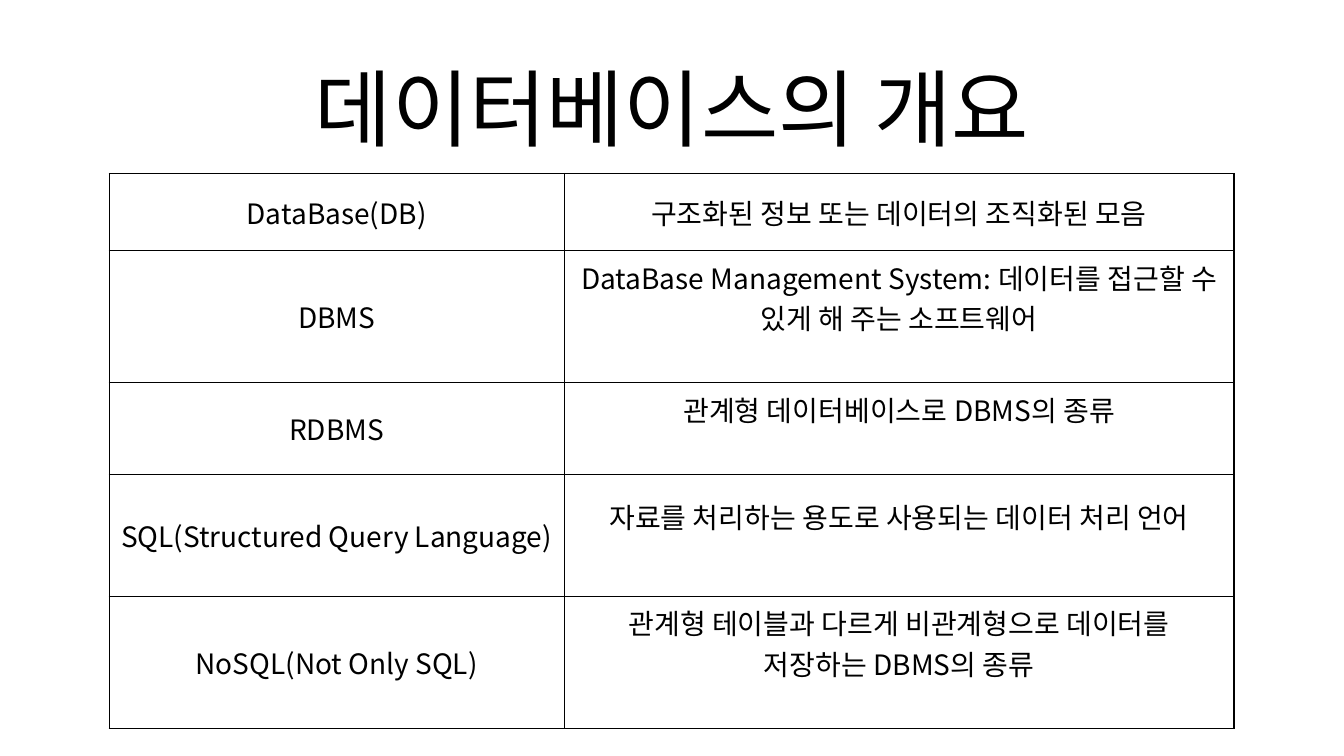
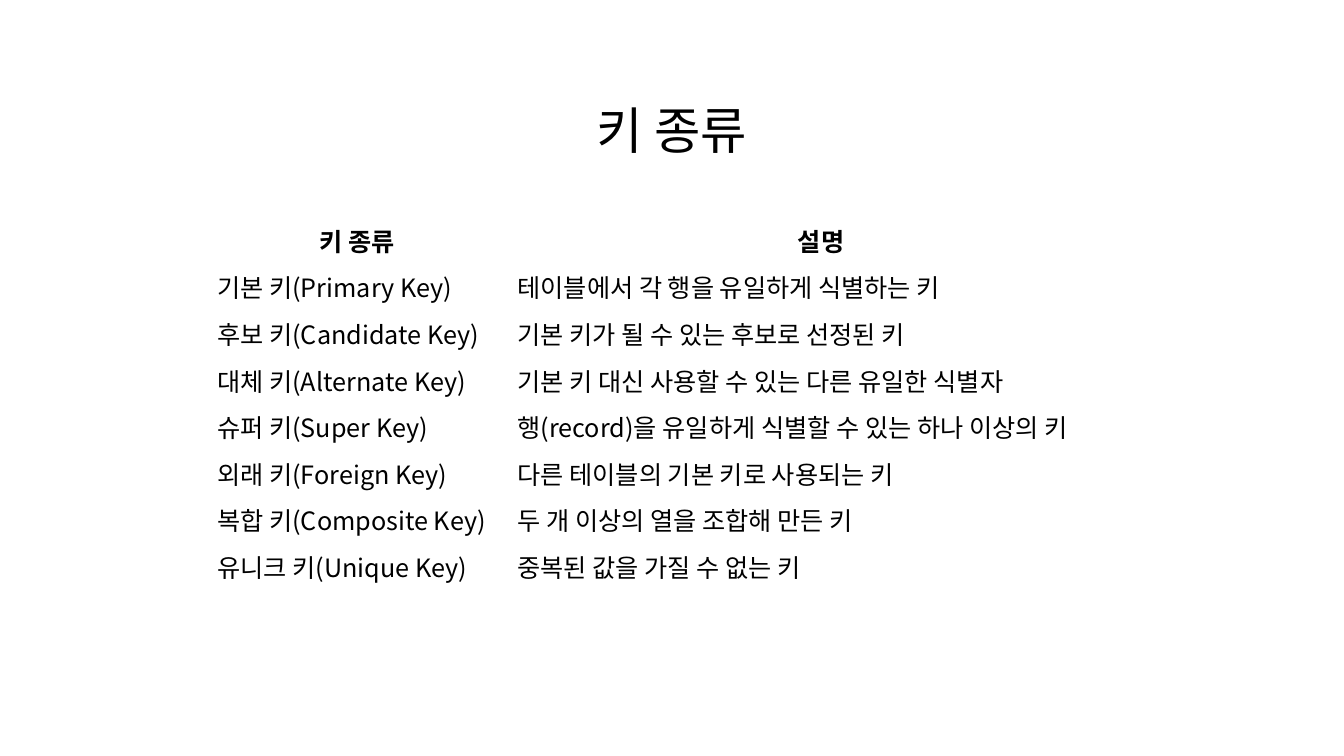
from dataclasses import dataclass

from lxml.etree import SubElement
from pptx import Presentation
from pptx.dml.color import RGBColor
from pptx.enum.text import MSO_ANCHOR as Anchor, MSO_AUTO_SIZE as AutoSize, PP_ALIGN as Align
from pptx.oxml.ns import qn
from pptx.util import Pt


@dataclass(frozen=True)
class Theme:
    font: str = "Noto Sans CJK KR"
    ink: RGBColor = RGBColor(0, 0, 0)
    paper: RGBColor = RGBColor(255, 255, 255)
    cover_title: int = 60
    title: int = 36
    overview_text: int = 20
    key_text: int = 18
    border: int = 1
    title_spacing: float = 0.9


THEME = Theme()
TITLE_ONLY = 5
CELL_PADDING = 3.6

OVERVIEW = [
    ("DataBase(DB)", "구조화된 정보 또는 데이터의 조직화된 모음"),
    ("DBMS", "DataBase Management System: 데이터를 접근할 수 있게 해 주는 소프트웨어"),
    ("RDBMS", "관계형 데이터베이스로 DBMS의 종류"),
    ("SQL(Structured Query Language)", "자료를 처리하는 용도로 사용되는 데이터 처리 언어"),
    ("NoSQL(Not Only SQL)", "관계형 테이블과 다르게 비관계형으로 데이터를 저장하는 DBMS의 종류"),
]
KEYS = [
    ("키 종류", "설명"),
    ("기본 키(Primary Key)", "테이블에서 각 행을 유일하게 식별하는 키"),
    ("후보 키(Candidate Key)", "기본 키가 될 수 있는 후보로 선정된 키"),
    ("대체 키(Alternate Key)", "기본 키 대신 사용할 수 있는 다른 유일한 식별자"),
    ("슈퍼 키(Super Key)", "행(record)을 유일하게 식별할 수 있는 하나 이상의 키"),
    ("외래 키(Foreign Key)", "다른 테이블의 기본 키로 사용되는 키"),
    ("복합 키(Composite Key)", "두 개 이상의 열을 조합해 만든 키"),
    ("유니크 키(Unique Key)", "중복된 값을 가질 수 없는 키"),
]


def format_paragraph(paragraph, size, align, bold=False):
    paragraph.alignment = align
    for run in paragraph.runs:
        font = run.font
        font.name, font.size, font.bold = THEME.font, Pt(size), bold
        font.color.rgb = THEME.ink
        # Korean glyphs take the East Asian font
        SubElement(font._element, qn("a:ea"), typeface=THEME.font)


def add_title_slide(presentation, title, box, size, anchor):
    """Add a slide whose title fills the given box."""
    slide = presentation.slides.add_slide(presentation.slide_layouts[TITLE_ONLY])
    shape = slide.shapes.title
    shape.left, shape.top, shape.width, shape.height = map(Pt, box)
    text_frame = shape.text_frame
    text_frame.text = title
    text_frame.auto_size = AutoSize.NONE
    text_frame.vertical_anchor = anchor
    paragraph = text_frame.paragraphs[0]
    paragraph.line_spacing = THEME.title_spacing
    format_paragraph(paragraph, size, Align.CENTER)
    return slide


def add_text_table(slide, rows, origin, widths, heights):
    """Place a plain table at the origin and fill in its text."""
    frame = slide.shapes.add_table(
        len(rows), len(widths), *map(Pt, (*origin, sum(widths), sum(heights))))
    table = frame.table
    table.first_row = table.horz_banding = False
    for column, width in zip(table.columns, widths):
        column.width = Pt(width)
    for row, height, texts in zip(table.rows, heights, rows):
        row.height = Pt(height)
        for cell, text in zip(row.cells, texts):
            cell.text = text
            cell.fill.solid()
            cell.fill.fore_color.rgb = THEME.paper
    return table


def add_borders(cell):
    properties = cell._tc.get_or_add_tcPr()
    for index, side in enumerate(("lnL", "lnR", "lnT", "lnB")):
        line = properties.makeelement(qn(f"a:{side}"), {"w": str(Pt(THEME.border))})
        fill = SubElement(line, qn("a:solidFill"))
        SubElement(fill, qn("a:srgbClr"), val=str(THEME.ink))
        properties.insert(index, line)


def build_overview(presentation):
    slide = add_title_slide(presentation, "데이터베이스의 개요", (66, 29, 828, 104),
                            THEME.cover_title, Anchor.MIDDLE)
    table = add_text_table(slide, OVERVIEW, (78, 124), (325, 478.5),
                           (55, 94.5, 65.5, 87, 94.5))
    # Descriptions below the first row sit one text line above the cell bottom
    line_height = THEME.overview_text * 1.4
    for row_index, row in enumerate(table.rows):
        for column_index, cell in enumerate(row.cells):
            cell.vertical_anchor = Anchor.MIDDLE
            if row_index and column_index:
                cell.margin_bottom = Pt(CELL_PADDING + line_height)
            format_paragraph(cell.text_frame.paragraphs[0], THEME.overview_text, Align.CENTER)
            add_borders(cell)


def build_keys(presentation):
    slide = add_title_slide(presentation, "키 종류", (191, 58, 578, 60),
                            THEME.title, Anchor.BOTTOM)
    table = add_text_table(slide, KEYS, (148, 155), (214.5, 448), [33.3] * len(KEYS))
    for row_index, row in enumerate(table.rows):
        is_header = row_index == 0
        align = Align.CENTER if is_header else Align.LEFT
        for cell in row.cells:
            format_paragraph(cell.text_frame.paragraphs[0], THEME.key_text, align, is_header)


def main():
    presentation = Presentation()
    presentation.slide_width, presentation.slide_height = Pt(960), Pt(540)
    build_overview(presentation)
    build_keys(presentation)
    presentation.save("out.pptx")


if __name__ == "__main__":
    main()
